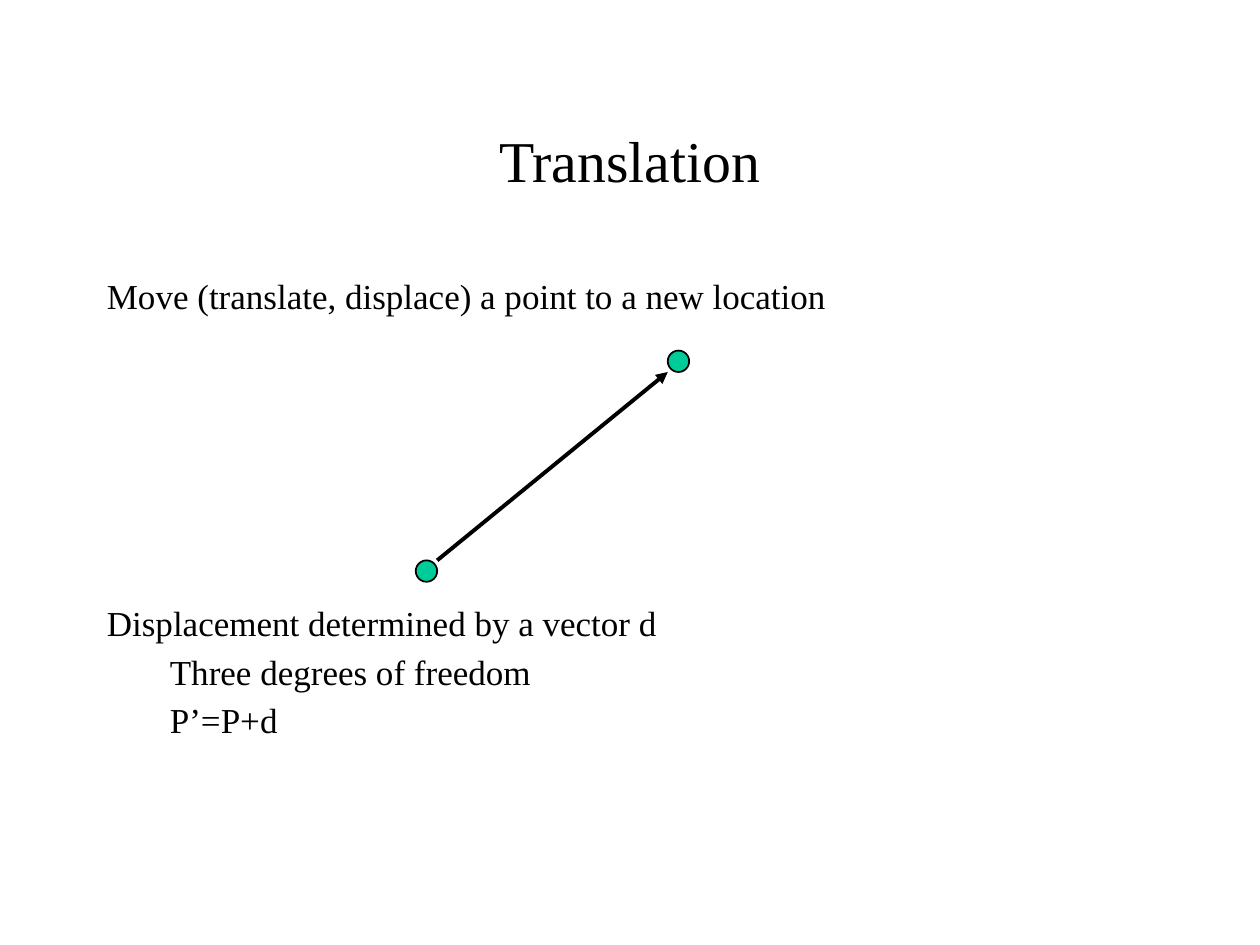
"""Build a slide that explains translation of a point by a vector."""
from dataclasses import dataclass

from lxml import etree
from pptx import Presentation, util as u
from pptx.dml.color import RGBColor
from pptx.enum import shapes, text
from pptx.oxml.ns import qn

WIDE, HIGH = u.Inches(10), u.Inches(7.5)
FONT, INK, MINT = "Times New Roman", "000000", "00CC99"
SIZE, PITCH, LEAD = 20, 26.6, 20.7
DOT = u.Inches(0.17)


@dataclass(frozen=True)
class Line:
    """A line of text, its rows below the one before, and its level."""
    words: str
    rows: int = 1
    level: int = 0


@dataclass(frozen=True)
class Point:
    """Top left corner of a dot, in shares of the slide."""
    x: float
    y: float


LINES = (
    Line("Move (translate, displace) a point to a new location"),
    Line("Displacement determined by a vector d", rows=7),
    Line("Three degrees of freedom", level=1),
    Line("P’=P+d", level=1),
)
START, END = Point(0.33, 0.593), Point(0.53, 0.371)


def hue(code: str) -> RGBColor:
    """Turn a hex string into a colour."""
    return RGBColor.from_string(code)


def write(para, words: str, size: float, align=text.PP_ALIGN.LEFT,
          lead: float = 0.9, before: float = 0, inset: float = 0) -> None:
    """Fill a paragraph with formatted text."""
    run = para.add_run()
    run.text = words
    run.font.name, run.font.size = FONT, u.Pt(size)
    run.font.color.rgb = hue(INK)
    para.alignment, para.line_spacing = align, lead
    para.space_before = u.Pt(before)
    if inset:
        para._p.get_or_add_pPr().set("marL", str(u.Inches(inset)))


def place(shape, x: float, y: float, w: float, h: float) -> None:
    """Set a shape's box in shares of the slide."""
    shape.left, shape.top = int(WIDE * x), int(HIGH * y)
    shape.width, shape.height = int(WIDE * w), int(HIGH * h)


def head(slide, words: str) -> None:
    """Move and fill the title."""
    title = slide.shapes.title
    place(title, 0.075, 0.089, 0.85, 0.167)
    frame = title.text_frame
    frame.vertical_anchor = text.MSO_ANCHOR.MIDDLE
    write(frame.paragraphs[0], words, 33, text.PP_ALIGN.CENTER, 0.93)


def body(slide, lines: tuple[Line, ...]) -> None:
    """Write the lines into one text box."""
    box = slide.shapes.add_textbox(0, 0, WIDE, HIGH)
    place(box, 0.075, 0.289, 0.85, 0.6)
    frame = box.text_frame
    frame.word_wrap = True
    for i, line in enumerate(lines):
        para = frame.add_paragraph() if i else frame.paragraphs[0]
        gap = line.rows * PITCH - LEAD if i else 0
        write(para, line.words, SIZE, before=gap, inset=line.level * 0.5)


def dot(slide, at: Point):
    """Draw a dot and return it."""
    mark = slide.shapes.add_shape(shapes.MSO_SHAPE.OVAL, int(WIDE * at.x),
                                  int(HIGH * at.y), DOT, DOT)
    mark.shadow.inherit = False
    mark.fill.solid()
    mark.fill.fore_color.rgb = hue(MINT)
    mark.line.color.rgb, mark.line.width = hue(INK), u.Pt(1)
    return mark


def arrow(slide, low, high) -> None:
    """Join the facing corners of two dots with an arrow."""
    line = slide.shapes.add_connector(
        shapes.MSO_CONNECTOR.STRAIGHT, low.left + DOT, low.top,
        high.left, high.top + DOT)
    line.line.color.rgb, line.line.width = hue(INK), u.Pt(2.25)
    etree.SubElement(line.line._get_or_add_ln(), qn("a:tailEnd"),
                     type="triangle")
    etree.SubElement(line._element.spPr, qn("a:effectLst"))


def main() -> None:
    """Build and save the deck."""
    deck = Presentation()
    deck.slide_width, deck.slide_height = WIDE, HIGH
    slide = deck.slides.add_slide(deck.slide_layouts[5])
    head(slide, "Translation")
    body(slide, LINES)
    arrow(slide, dot(slide, START), dot(slide, END))
    deck.save("out.pptx")


if __name__ == "__main__":
    main()
